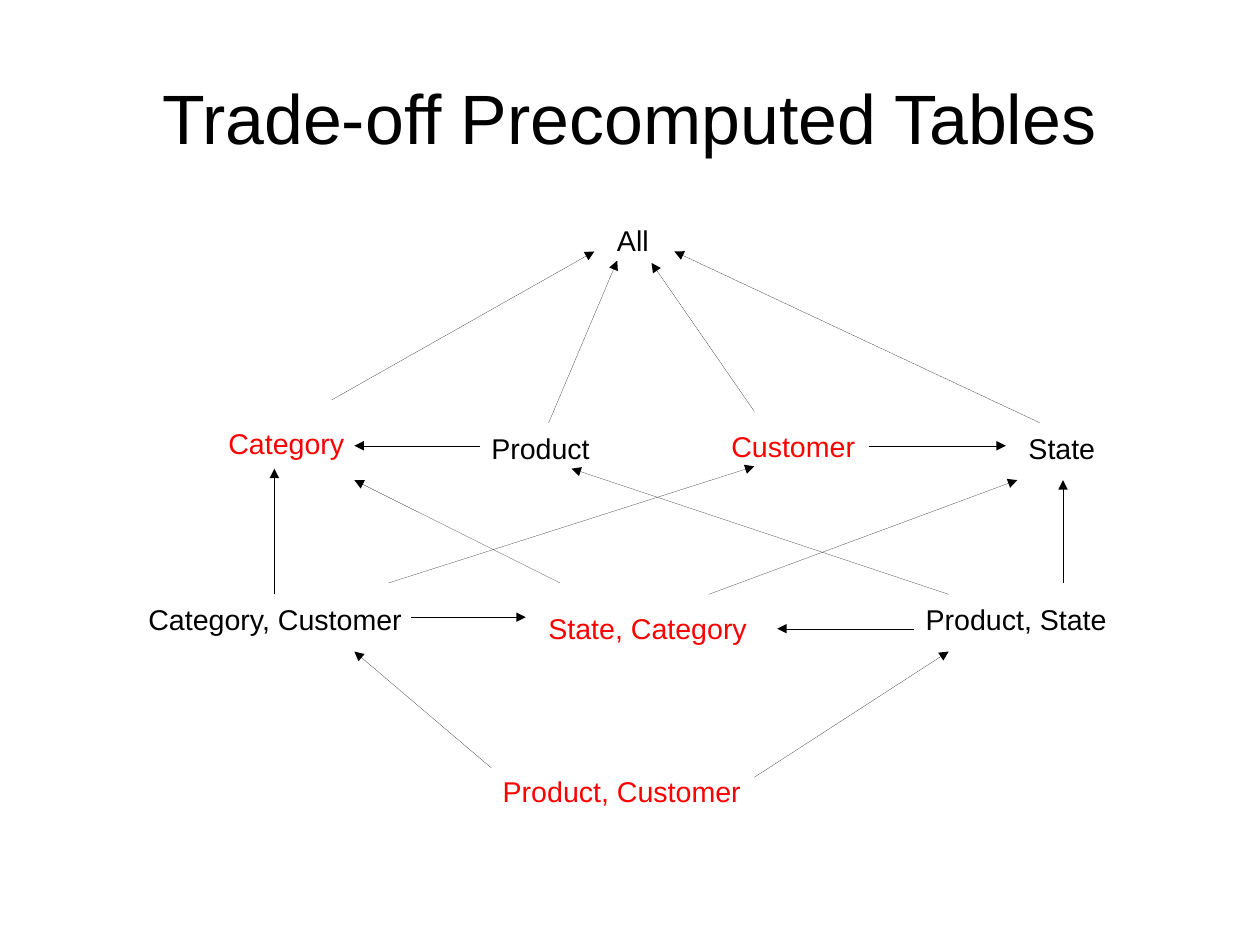
from collections import namedtuple
from dataclasses import dataclass

from lxml import etree
from pptx import Presentation
from pptx.dml.color import RGBColor
from pptx.enum.shapes import MSO_CONNECTOR
from pptx.enum.text import MSO_ANCHOR, MSO_AUTO_SIZE, PP_ALIGN
from pptx.oxml.ns import qn
from pptx.util import Cm, Inches, Pt

STRAIGHT = MSO_CONNECTOR.STRAIGHT
MIDDLE, TOP = MSO_ANCHOR.MIDDLE, MSO_ANCHOR.TOP
CENTER, LEFT = PP_ALIGN.CENTER, PP_ALIGN.LEFT
FIXED = MSO_AUTO_SIZE.NONE
TITLE_ONLY = 5

Box = namedtuple("Box", "left top width height")


@dataclass(frozen=True)
class Theme:
    font: str = "Arial"
    title_size: int = 44
    label_size: int = 18
    ink: RGBColor = RGBColor(0, 0, 0)
    precomputed: RGBColor = RGBColor(255, 0, 0)


THEME = Theme()
TITLE_BOX = Box(Inches(0.55), Inches(0.33), Inches(9.92), Inches(1.38))
LATTICE_BOX = Box(Inches(1.2), Inches(1.9), Inches(9.2), Inches(5.2))
COLUMNS, ROWS = 92, 52
LABEL_ROWS = 3.8

TABLES = [
    ("All", 41, 0, 8, False),
    ("Category", 7, 17.8, 14, True),
    ("Product", 30, 18.2, 14, False),
    ("Customer", 51, 18, 14, True),
    ("State", 77, 18.2, 8, False),
    ("Category, Customer", 0, 33.2, 27, False),
    ("State, Category", 35, 34, 27, True),
    ("Product, State", 68, 33.2, 24, False),
    ("Product, Customer", 31, 48.2, 23, True),
]

ROLLUPS = [
    ((31, 48.2), (19, 38)),
    ((54, 49), (71, 38)),
    ((24, 35), (34, 35)),
    ((68, 36), (56, 36)),
    ((12, 33), (12, 22)),
    ((22, 32), (54, 21.8)),
    ((37, 32), (19, 23)),
    ((50, 33), (77, 23)),
    ((71, 33), (38, 22)),
    ((81, 32), (81, 23)),
    ((30, 20), (19, 20)),
    ((64, 20), (76, 20)),
    ((17, 16), (40, 3)),
    ((36, 18), (42, 3.8)),
    ((54, 17), (45, 4)),
    ((79, 18), (47, 3)),
]


def apply_format(target, values):
    for name, value in values.items():
        setattr(target, name, value)


def write_text(shape, text, size, color, alignment, frame_format):
    frame = shape.text_frame
    frame.text = text
    apply_format(frame, {"word_wrap": True, "auto_size": FIXED, **frame_format})
    paragraph = frame.paragraphs[0]
    paragraph.alignment = alignment
    font = paragraph.runs[0].font
    apply_format(font, {"name": THEME.font, "size": Pt(size)})
    font.color.rgb = color


def grid_point(box, column, row):
    return (
        round(box.left + box.width * column / COLUMNS),
        round(box.top + box.height * row / ROWS),
    )


def add_title(slide, box, text):
    title = slide.shapes.title
    apply_format(title, box._asdict())
    margins = dict.fromkeys(
        ("margin_left", "margin_top", "margin_right", "margin_bottom"), 0
    )
    write_text(title, text, THEME.title_size, THEME.ink, CENTER,
               {"vertical_anchor": MIDDLE, **margins})


def add_label(slide, box, text, column, row, columns, is_precomputed):
    left, top = grid_point(box, column, row)
    right, bottom = grid_point(box, column + columns, row + LABEL_ROWS)
    label = slide.shapes.add_textbox(left, top, right - left, bottom - top)
    color = THEME.precomputed if is_precomputed else THEME.ink
    write_text(label, text, THEME.label_size, color, LEFT, {"vertical_anchor": TOP})


def add_arrow(slide, box, start, end):
    arrow = slide.shapes.add_connector(
        STRAIGHT, *grid_point(box, *start), *grid_point(box, *end)
    )
    arrow.line.color.rgb = THEME.ink
    properties = arrow.element.spPr
    outline = properties.find(qn("a:ln"))
    outline.set("w", "0")
    etree.SubElement(outline, qn("a:tailEnd"), type="triangle")
    etree.SubElement(properties, qn("a:effectLst"))


def add_lattice(slide, box):
    for table in TABLES:
        add_label(slide, box, *table)
    for start, end in ROLLUPS:
        add_arrow(slide, box, start, end)


presentation = Presentation()
presentation.slide_width = Cm(28)
presentation.slide_height = Cm(21)
slide = presentation.slides.add_slide(presentation.slide_layouts[TITLE_ONLY])
add_title(slide, TITLE_BOX, "Trade-off Precomputed Tables")
add_lattice(slide, LATTICE_BOX)
presentation.save("out.pptx")
